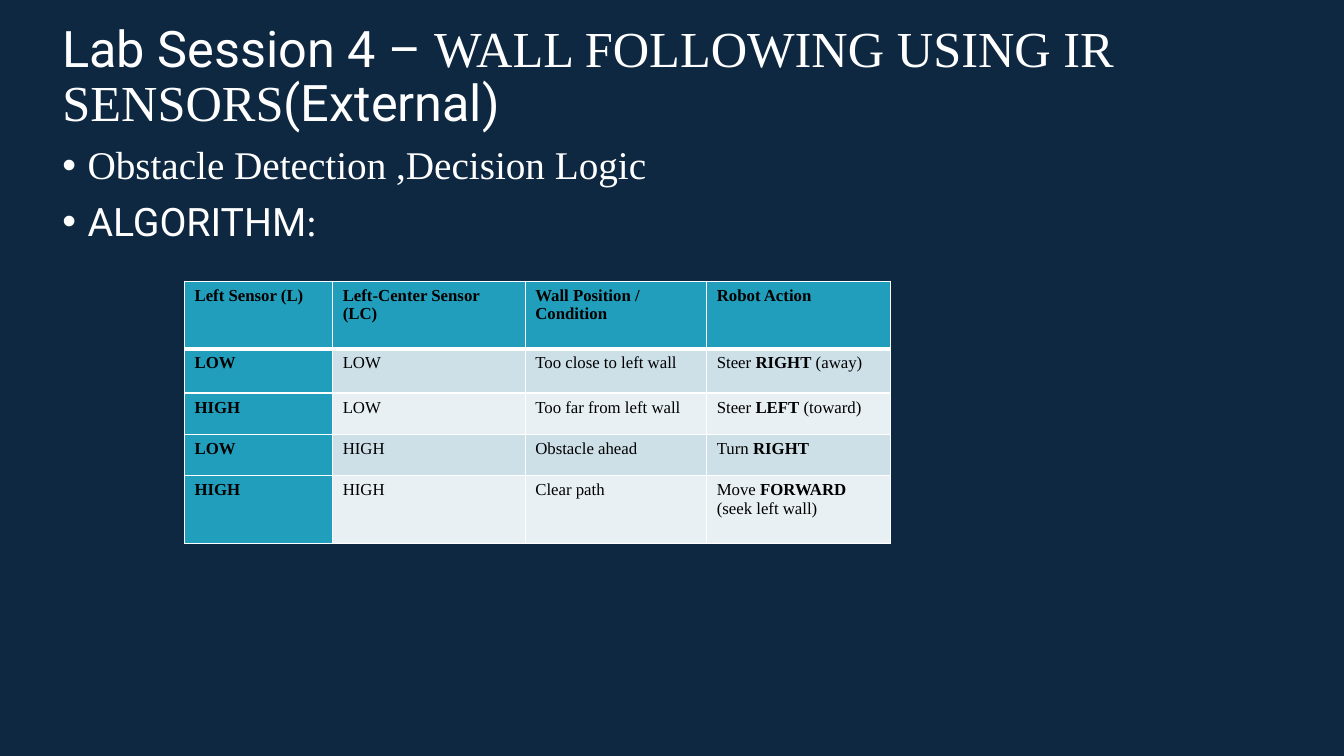
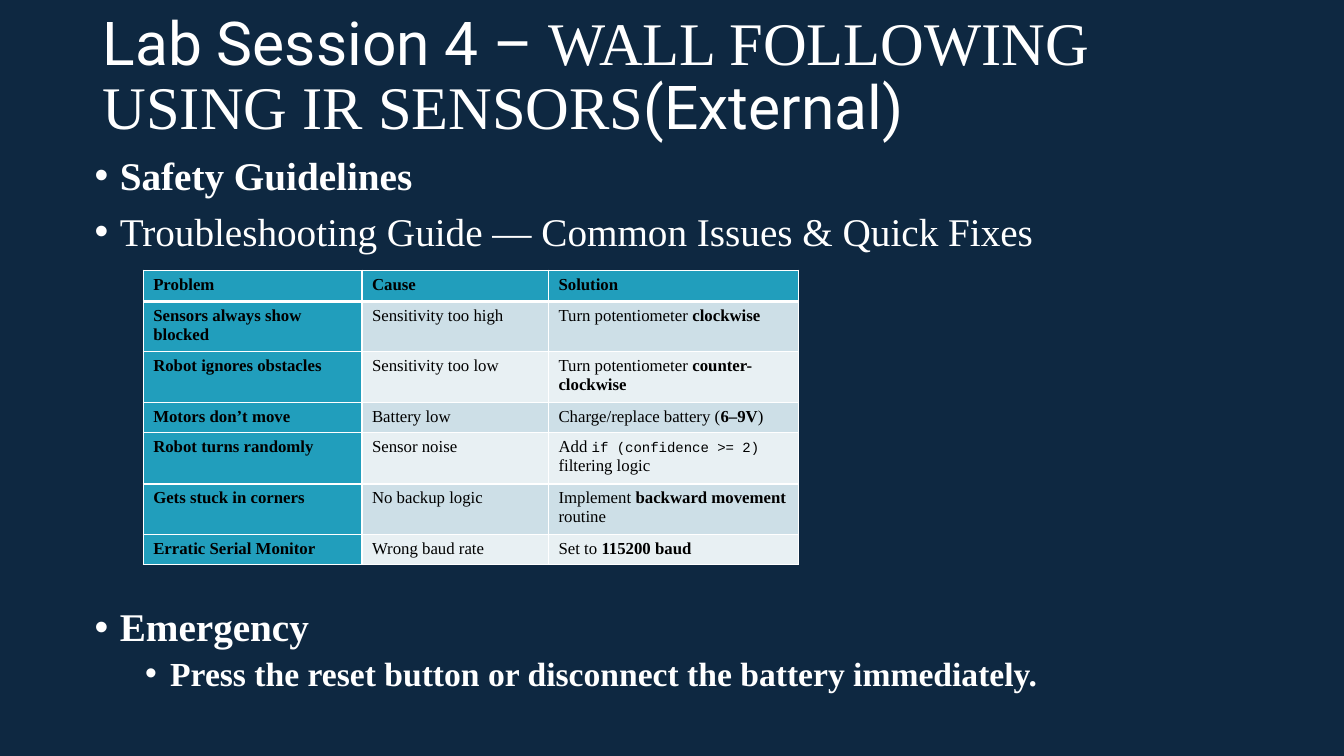
import pptx
import pptx.dml.color
import pptx.enum.text
import pptx.oxml
import pptx.oxml.ns
import pptx.util

Inches = pptx.util.Inches
Pt = pptx.util.Pt
RGBColor = pptx.dml.color.RGBColor

NAVY = RGBColor(0x0E, 0x28, 0x41)
WHITE = RGBColor(0xFF, 0xFF, 0xFF)
BLACK = RGBColor(0x00, 0x00, 0x00)
TEAL = RGBColor(0x21, 0x9E, 0xBC)
STRIPES = [RGBColor(0xCD, 0xDF, 0xE7), RGBColor(0xE8, 0xF0, 0xF3)]
SANS, SERIF, MONO = "Roboto", "Times New Roman", "Courier New"
NAMESPACE = pptx.oxml.ns.nsdecls("a")

TITLE = [("Lab Session 4 – ", SANS), ("WALL FOLLOWING USING IR SENSORS", SERIF), ("(External)", SANS)]

SLIDES = [
    {
        "title": (0.52, 36, 0.9),
        "body": (0.52, 1.4, 5.95),
        "bullets": [
            (0, 0, False, [("Obstacle Detection ,Decision Logic", SERIF)]),
            (0, 10, False, [("ALGORITHM", SANS), (":", SERIF)]),
        ],
        "table": (1.83, 2.79),
        "columns": [1.47, 1.91, 1.8, 1.82],
        "heights": [0.67, 0.44, 0.41, 0.41, 0.67],
        "rows": [
            ["Left Sensor (L)", "Left-Center Sensor (LC)", "Wall Position / Condition", "Robot Action"],
            ["LOW", "LOW", "Too close to left wall", "Steer **RIGHT** (away)"],
            ["HIGH", "LOW", "Too far from left wall", "Steer **LEFT** (toward)"],
            ["LOW", "HIGH", "Obstacle ahead", "Turn **RIGHT**"],
            ["HIGH", "HIGH", "Clear path", "Move **FORWARD** (seek left wall)"],
        ],
    },
    {
        "title": (0.92, 43.2, 0.88),
        "body": (0.84, 1.5, 5.68),
        "bullets": [
            (0, 0, True, [("Safety Guidelines", SERIF)]),
            (0, 10, False, [("Troubleshooting Guide — Common Issues & Quick Fixes", SERIF)]),
            (0, 252, True, [("Emergency", SERIF)]),
            (1, 5, True, [("Press the reset button or disconnect the battery immediately.", SERIF)]),
        ],
        "table": (1.42, 2.68),
        "columns": [2.17, 1.85, 2.48],
        "heights": [0.31, 0.5, 0.5, 0.3, 0.51, 0.5, 0.3],
        "rows": [
            ["Problem", "Cause", "Solution"],
            ["Sensors always show blocked", "Sensitivity too high", "Turn potentiometer **clockwise**"],
            ["Robot ignores obstacles", "Sensitivity too low", "Turn potentiometer **counter-clockwise**"],
            ["Motors don’t move", "Battery low", "Charge/replace battery (**6–9V**)"],
            ["Robot turns randomly", "Sensor noise", "Add `if (confidence >= 2)` filtering logic"],
            ["Gets stuck in corners", "No backup logic", "Implement **backward movement** routine"],
            ["Erratic Serial Monitor", "Wrong baud rate", "Set to **115200 baud**"],
        ],
    },
]


def add_span(para, text, font, size, color, bold=False):
    span = para.add_run()
    span.text = text
    span.font.name = font
    span.font.size = Pt(size)
    span.font.color.rgb = color
    span.font.bold = bold


def add_frame(page, left, top, height):
    box = page.shapes.add_textbox(Inches(left), Inches(top), Inches(11.5), Inches(height))
    box.text_frame.word_wrap = True
    return box.text_frame


deck = pptx.Presentation()
deck.slide_width = Inches(13.33)
deck.slide_height = Inches(7.5)

for content in SLIDES:
    page = deck.slides.add_slide(deck.slide_layouts[6])
    page.background.fill.solid()
    page.background.fill.fore_color.rgb = NAVY

    left, size, spacing = content["title"]
    frame = add_frame(page, left, 0.05, 1.45)
    frame.vertical_anchor = pptx.enum.text.MSO_ANCHOR.MIDDLE
    frame.paragraphs[0].line_spacing = spacing
    for text, font in TITLE:
        add_span(frame.paragraphs[0], text, font, size, WHITE)

    frame = add_frame(page, *content["body"])
    for index, (level, before, bold, parts) in enumerate(content["bullets"]):
        para = frame.add_paragraph() if index else frame.paragraphs[0]
        para.level = level
        properties = para._p.get_or_add_pPr()
        properties.set("marL", str(Inches(0.25 + 0.5 * level)))
        properties.set("indent", str(Inches(-0.25)))
        properties.append(pptx.oxml.parse_xml(f'<a:buFont {NAMESPACE} typeface="Arial"/>'))
        properties.append(pptx.oxml.parse_xml(f'<a:buChar {NAMESPACE} char="•"/>'))
        para.line_spacing = 0.9
        para.space_before = Pt(before)
        for text, font in parts:
            add_span(para, text, font, 28 - 4 * level, WHITE, bold)

    left, top = content["table"]
    columns, heights, rows = content["columns"], content["heights"], content["rows"]
    table = page.shapes.add_table(
        len(rows), len(columns), Inches(left), Inches(top), Inches(sum(columns)), Inches(sum(heights))
    ).table
    for column, width in zip(table.columns, columns):
        column.width = Inches(width)
    for row, height in zip(table.rows, heights):
        row.height = Inches(height)

    for row_index, row in enumerate(rows):
        for column_index, text in enumerate(row):
            cell = table.cell(row_index, column_index)
            heading = row_index == 0 or column_index == 0
            properties = cell._tc.get_or_add_tcPr()
            for side in "LRTB":
                thick = (row_index, side) in [(0, "B"), (1, "T")]
                properties.append(pptx.oxml.parse_xml(
                    f'<a:ln{side} {NAMESPACE} w="{Pt(3 if thick else 1)}"><a:solidFill>'
                    f'<a:srgbClr val="{WHITE}"/></a:solidFill></a:ln{side}>'
                ))
            cell.fill.solid()
            cell.fill.fore_color.rgb = TEAL if heading else STRIPES[(row_index - 1) % 2]
            para = cell.text_frame.paragraphs[0]
            mark = "`" if "`" in text else "**"
            for index, part in enumerate(text.split(mark)):
                marked = index % 2 == 1
                if marked and mark == "`":
                    add_span(para, part, MONO, 10, BLACK)
                elif part:
                    add_span(para, part, SERIF, 12, BLACK, heading or marked)

deck.save("out.pptx")
